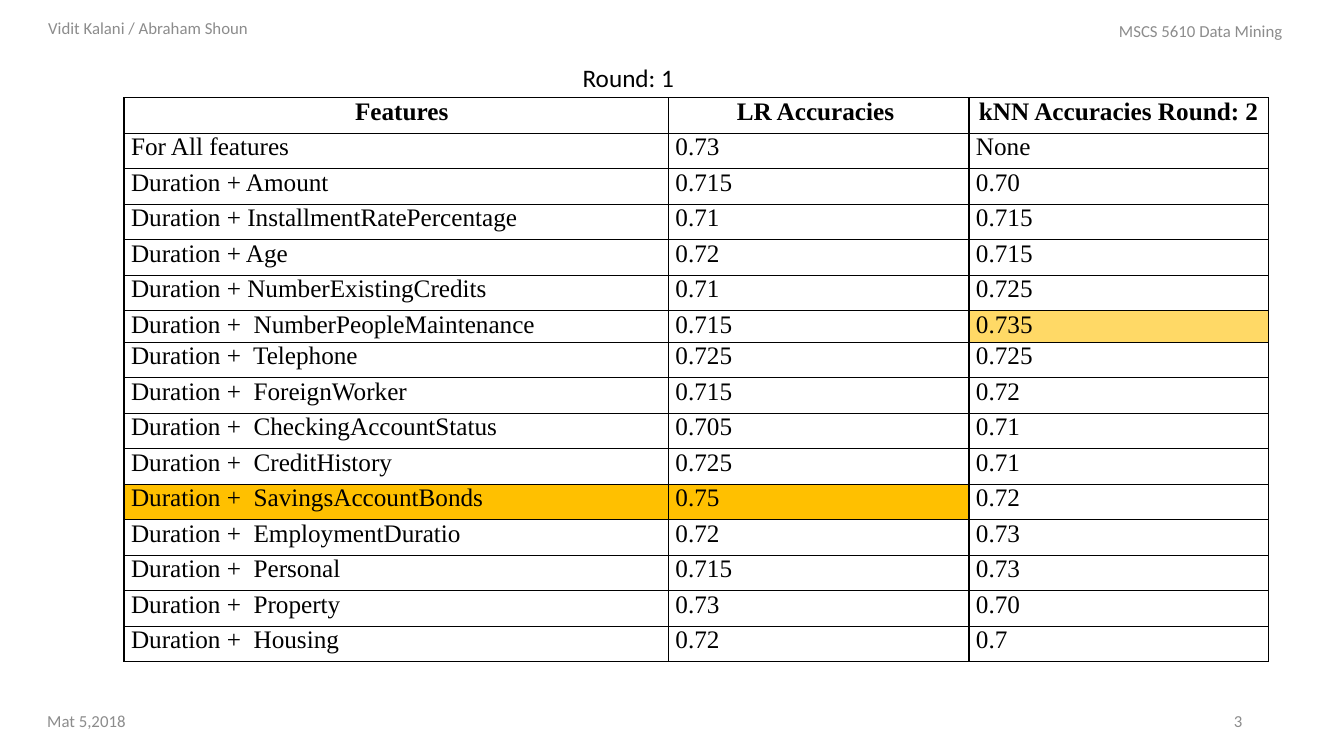
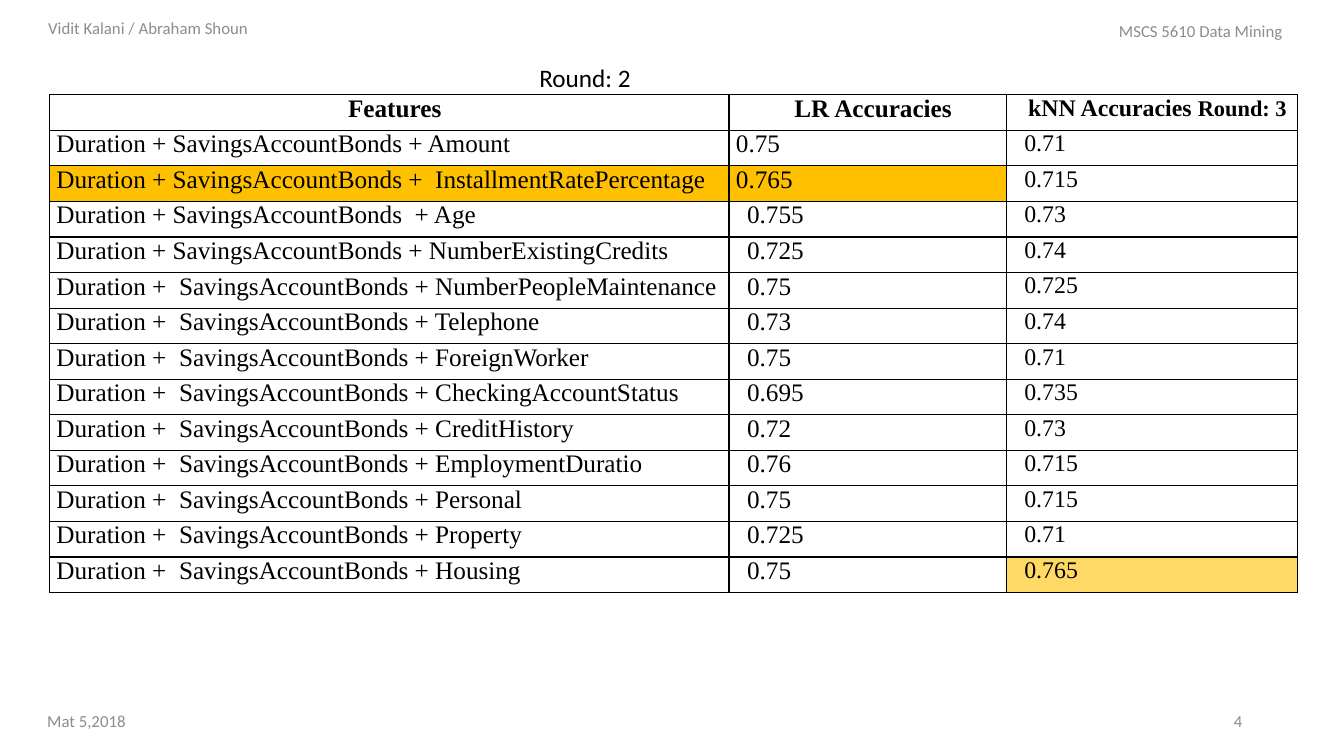
from dataclasses import dataclass

from lxml import etree
from pptx import Presentation
from pptx.dml.color import RGBColor
from pptx.enum.text import MSO_ANCHOR, PP_ALIGN
from pptx.oxml.ns import qn
from pptx.util import Emu, Pt

LEFT, CENTER, RIGHT = PP_ALIGN.LEFT, PP_ALIGN.CENTER, PP_ALIGN.RIGHT
TOP, MIDDLE = MSO_ANCHOR.TOP, MSO_ANCHOR.MIDDLE

PX = 9144  # one px is a hundredth of an inch
SLIDE_WIDTH, SLIDE_HEIGHT = 1333, 750


@dataclass(frozen=True)
class Theme:
    ink: str = "000000"
    muted: str = "8C8C8C"
    best_lr: str = "FFC000"
    best_knn: str = "FFD966"
    heading_font: str = "Calibri"
    table_font: str = "Times New Roman"
    small: int = 12
    normal: int = 18
    compact: int = 17
    round_note: int = 16
    cell_gap: float = 1.1
    cell_inset: int = 7
    indent: int = 11


THEME = Theme()


@dataclass
class Column:
    width: int
    header: tuple  # (text, size) for each run
    values: list
    size: int = THEME.normal
    header_indent: int = 0
    indent: int = 0
    flush_rows: int = 0  # first body rows that stay without indent


def px(length):
    return Emu(round(length * PX))


def format_run(run, font, size, color, bold=False):
    run.font.name = font
    run.font.size = Pt(size)
    run.font.bold = bold
    run.font.color.rgb = RGBColor.from_string(color)


def add_text(slide, box, text, size, color, align=LEFT, anchor=MIDDLE):
    shape = slide.shapes.add_textbox(*map(px, box))
    frame = shape.text_frame
    frame.word_wrap = True
    frame.vertical_anchor = anchor
    frame.text = text
    paragraph = frame.paragraphs[0]
    paragraph.alignment = align
    format_run(paragraph.runs[0], THEME.heading_font, size, color)


def add_borders(cell):
    properties = cell._tc.get_or_add_tcPr()
    for side in ("lnL", "lnR", "lnT", "lnB"):
        line = etree.SubElement(properties, qn(f"a:{side}"), w=str(Pt(1)))
        fill = etree.SubElement(line, qn("a:solidFill"))
        etree.SubElement(fill, qn("a:srgbClr"), val=THEME.ink)


def fill_cell(cell, runs, indent, fill=None, header=False):
    cell.margin_left = cell.margin_right = px(THEME.cell_inset)
    cell.margin_top = cell.margin_bottom = 0
    cell.vertical_anchor = TOP
    add_borders(cell)
    if fill:
        cell.fill.solid()
        cell.fill.fore_color.rgb = RGBColor.from_string(fill)
    else:
        cell.fill.background()
    paragraph = cell.text_frame.paragraphs[0]
    paragraph.alignment = CENTER if header else LEFT
    paragraph.space_after = Pt(THEME.cell_gap)
    if indent:
        paragraph._p.get_or_add_pPr().set("marL", str(px(indent)))
    for text, size in runs:
        run = paragraph.add_run()
        run.text = text
        format_run(run, THEME.table_font, size, THEME.ink, header)


def add_accuracy_table(slide, left, top, row_heights, columns, best_row, best_fill):
    width = sum(column.width for column in columns)
    table = slide.shapes.add_table(
        len(row_heights), len(columns),
        px(left), px(top), px(width), px(sum(row_heights))).table
    table.first_row = table.horz_banding = False
    for row, height in zip(table.rows, row_heights):
        row.height = px(height)
    for index, column in enumerate(columns):
        table.columns[index].width = px(column.width)
        fill_cell(table.cell(0, index), column.header, column.header_indent, header=True)
        for row, value in enumerate(column.values, 1):
            indent = column.indent if row > column.flush_rows else 0
            fill = best_fill if row == best_row else None
            fill_cell(table.cell(row, index), [(value, column.size)], indent, fill)


def add_page_marks(slide, number):
    """Running header and footer."""
    for box, text, align in (
        ((38, 8, 300, 40), "Vidit Kalani / Abraham Shoun", LEFT),
        ((1100, 11, SLIDE_WIDTH - 1100, 40), "MSCS 5610 Data Mining", LEFT),
        ((37, 695, 300, 40), "Mat 5,2018", LEFT),
        ((942, 695, 300, 40), str(number), RIGHT),
    ):
        add_text(slide, box, text, THEME.small, THEME.muted, align)


def add_round_slide(presentation, number, title, title_left, table_box,
                    columns, best_lr, best_knn, short_rows=None):
    slide = presentation.slides.add_slide(presentation.slide_layouts[6])
    add_page_marks(slide, number)
    add_text(slide, (title_left, 57, SLIDE_WIDTH - title_left, 40), title,
             THEME.normal, THEME.ink, anchor=TOP)

    # Rows share the height that the short rows leave
    left, top, height = table_box
    short_rows = short_rows or {}
    row_count = len(columns[0].values) + 1
    even = (height - sum(short_rows.values())) / (row_count - len(short_rows))
    row_heights = [short_rows.get(row, even) for row in range(row_count)]

    # Feature and LR table, with the kNN table against its right side
    *lr_columns, knn_column = columns
    add_accuracy_table(slide, left, top, row_heights, lr_columns, best_lr, THEME.best_lr)
    knn_left = left + sum(column.width for column in lr_columns)
    add_accuracy_table(slide, knn_left, top, row_heights, [knn_column],
                       best_knn, THEME.best_knn)


# Feature, LR accuracy, kNN accuracy
ROUND_ONE = [
    ("For All features", "0.73", "None"),
    ("Duration + Amount", "0.715", "0.70"),
    ("Duration + InstallmentRatePercentage", "0.71", "0.715"),
    ("Duration + Age", "0.72", "0.715"),
    ("Duration + NumberExistingCredits", "0.71", "0.725"),
    ("Duration +  NumberPeopleMaintenance", "0.715", "0.735"),
    ("Duration +  Telephone", "0.725", "0.725"),
    ("Duration +  ForeignWorker", "0.715", "0.72"),
    ("Duration +  CheckingAccountStatus", "0.705", "0.71"),
    ("Duration +  CreditHistory", "0.725", "0.71"),
    ("Duration +  SavingsAccountBonds", "0.75", "0.72"),
    ("Duration +  EmploymentDuratio", "0.72", "0.73"),
    ("Duration +  Personal", "0.715", "0.73"),
    ("Duration +  Property", "0.73", "0.70"),
    ("Duration +  Housing", "0.72", "0.7"),
]
ROUND_TWO = [
    ("Duration + SavingsAccountBonds + Amount", "0.75", "0.71"),
    ("Duration + SavingsAccountBonds +  InstallmentRatePercentage", "0.765", "0.715"),
    ("Duration + SavingsAccountBonds  + Age", "0.755", "0.73"),
    ("Duration + SavingsAccountBonds + NumberExistingCredits", "0.725", "0.74"),
    ("Duration +  SavingsAccountBonds + NumberPeopleMaintenance", "0.75", "0.725"),
    ("Duration +  SavingsAccountBonds + Telephone", "0.73", "0.74"),
    ("Duration +  SavingsAccountBonds + ForeignWorker", "0.75", "0.71"),
    ("Duration +  SavingsAccountBonds + CheckingAccountStatus", "0.695", "0.735"),
    ("Duration +  SavingsAccountBonds + CreditHistory", "0.72", "0.73"),
    ("Duration +  SavingsAccountBonds + EmploymentDuratio", "0.76", "0.715"),
    ("Duration +  SavingsAccountBonds + Personal", "0.75", "0.715"),
    ("Duration +  SavingsAccountBonds + Property", "0.725", "0.71"),
    ("Duration +  SavingsAccountBonds + Housing", "0.75", "0.765"),
]


def main():
    presentation = Presentation()
    presentation.slide_width = px(SLIDE_WIDTH)
    presentation.slide_height = px(SLIDE_HEIGHT)
    normal, compact, indent = THEME.normal, THEME.compact, THEME.indent

    features, lr, knn = zip(*ROUND_ONE)
    add_round_slide(
        presentation, 3, "Round: 1", 568, (123, 97, 560),
        [Column(540, (("Features", normal),), features, header_indent=indent),
         Column(298, (("LR Accuracies ", normal),), lr),
         Column(297, (("kNN Accuracies Round: 2", normal),), knn)],
        best_lr=11, best_knn=6, short_rows={6: 31})

    features, lr, knn = zip(*ROUND_TWO)
    add_round_slide(
        presentation, 4, "Round: 2", 525, (49, 94, 494),
        [Column(674, (("Features", normal),), features, header_indent=indent),
         Column(275, (("LR Accuracies", normal),), lr,
                header_indent=indent, indent=indent, flush_rows=2),
         Column(289, (("kNN Accuracies ", compact), ("Round: 3", THEME.round_note)), knn,
                size=compact, header_indent=indent, indent=indent)],
        best_lr=2, best_knn=13)

    presentation.save("out.pptx")


if __name__ == "__main__":
    main()
